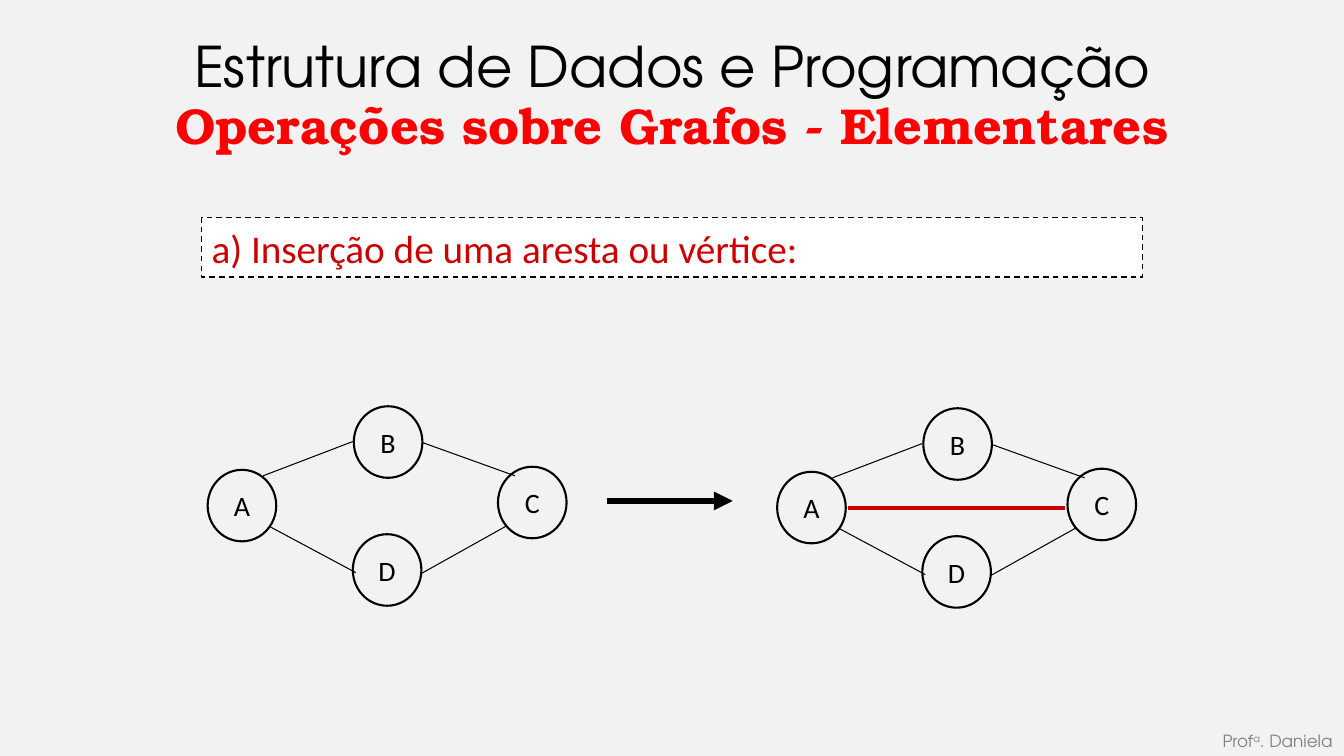
from dataclasses import dataclass

from lxml import etree
from pptx import Presentation
from pptx.dml.color import RGBColor
from pptx.enum.dml import MSO_LINE
from pptx.enum.shapes import MSO_CONNECTOR, MSO_SHAPE
from pptx.enum.text import MSO_ANCHOR, MSO_AUTO_SIZE, PP_ALIGN
from pptx.oxml.ns import qn
from pptx.util import Pt

STRAIGHT = MSO_CONNECTOR.STRAIGHT
RECTANGLE, OVAL = MSO_SHAPE.RECTANGLE, MSO_SHAPE.OVAL
LEFT, CENTER, RIGHT = PP_ALIGN.LEFT, PP_ALIGN.CENTER, PP_ALIGN.RIGHT
MIDDLE = MSO_ANCHOR.MIDDLE
NO_AUTOFIT = MSO_AUTO_SIZE.NONE
DASH = MSO_LINE.DASH


@dataclass(frozen=True)
class Theme:
    background: RGBColor = RGBColor(0xF2, 0xF2, 0xF2)
    white: RGBColor = RGBColor(0xFF, 0xFF, 0xFF)
    black: RGBColor = RGBColor(0, 0, 0)
    gray: RGBColor = RGBColor(0x80, 0x80, 0x80)
    red: RGBColor = RGBColor(0xFF, 0, 0)
    dark_red: RGBColor = RGBColor(0xCC, 0, 0)
    body_font: str = "Calibri"
    title_font: str = "TeX Gyre Adventor"
    subtitle_font: str = "TeX Gyre Bonum"
    title_size: int = 40
    subtitle_size: int = 36
    topic_size: int = 28
    node_size: int = 20
    credit_size: int = 12


THEME = Theme()

# Positions inside one graph, in points from its top left corner
NODE_WIDTH, NODE_HEIGHT = 49, 51.1
NODES = {"A": (0, 45.4), "B": (104.4, 0), "C": (207.4, 43.2), "D": (103.7, 91.4)}
EDGES = [
    (103.7, 25.2, 39.6, 49.7),
    (152.6, 119.5, 213.1, 85.7),
    (105.8, 118.8, 43.9, 85.7),
    (153.4, 25.9, 219.6, 49.7),
]
NEW_EDGE = (50.4, 71.3, 205.9, 71.3)


def place(shape, left, top, width, height):
    shape.left, shape.top = Pt(left), Pt(top)
    shape.width, shape.height = Pt(width), Pt(height)


def format_text(shape, font, size, color, alignment, bold=False):
    frame = shape.text_frame
    frame.word_wrap = True
    frame.auto_size = NO_AUTOFIT
    frame.vertical_anchor = MIDDLE
    for paragraph in frame.paragraphs:
        paragraph.alignment = alignment
        for run in paragraph.runs:
            run.font.name = font
            run.font.size = Pt(size)
            run.font.color.rgb = color
            run.font.bold = bold


def add_line(slide, start_x, start_y, end_x, end_y, color, weight):
    line = slide.shapes.add_connector(
        STRAIGHT, Pt(start_x), Pt(start_y), Pt(end_x), Pt(end_y))
    line.line.color.rgb = color
    line.line.width = Pt(weight)
    etree.SubElement(line._element.spPr, qn("a:effectLst"))
    return line


def add_outlined_shape(slide, kind, left, top, width, height, weight):
    shape = slide.shapes.add_shape(kind, Pt(left), Pt(top), Pt(width), Pt(height))
    shape.shadow.inherit = False
    shape.fill.background()
    shape.line.color.rgb = THEME.black
    shape.line.width = Pt(weight)
    return shape


def add_heading(slide, left, top, width, height):
    title = slide.shapes.title
    place(title, left + 29.5, top, width - 58.3, 90)
    title.text_frame.text = "Estrutura de Dados e Programação"
    format_text(title, THEME.title_font, THEME.title_size, THEME.black, CENTER)

    subtitle_height = 45.4
    subtitle = slide.shapes.add_textbox(
        Pt(left), Pt(top + height - subtitle_height), Pt(width), Pt(subtitle_height))
    subtitle.text_frame.text = "Operações sobre Grafos - Elementares"
    format_text(subtitle, THEME.subtitle_font, THEME.subtitle_size, THEME.red,
                CENTER, bold=True)


def add_topic(slide, left, top, width, height):
    topic = add_outlined_shape(slide, RECTANGLE, left, top, width, height, 1)
    topic.fill.solid()
    topic.fill.fore_color.rgb = THEME.white
    topic.line.dash_style = DASH
    topic.text_frame.text = "a) Inserção de uma aresta ou vértice:"
    format_text(topic, THEME.body_font, THEME.topic_size, THEME.dark_red, LEFT)


def add_graph(slide, left, top, with_new_edge=False):
    for name, (x, y) in NODES.items():
        node = add_outlined_shape(
            slide, OVAL, left + x, top + y, NODE_WIDTH, NODE_HEIGHT, 1.5)
        frame = node.text_frame
        frame.text = name
        frame.margin_left = frame.margin_right = 0
        frame.margin_top = frame.margin_bottom = 0
        format_text(node, THEME.body_font, THEME.node_size, THEME.black, CENTER)

    lines = [(edge, THEME.black, 0.75) for edge in EDGES]
    if with_new_edge:
        lines.append((NEW_EDGE, THEME.dark_red, 2.25))
    for (start_x, start_y, end_x, end_y), color, weight in lines:
        add_line(slide, left + start_x, top + start_y, left + end_x, top + end_y,
                 color, weight)


def add_arrow(slide, left, top, length):
    arrow = add_line(slide, left, top, left + length, top, THEME.black, 4.5)
    etree.SubElement(arrow.line._get_or_add_ln(), qn("a:tailEnd"), type="triangle")


def add_credit(slide, left, top, width, height):
    credit = slide.shapes.add_textbox(Pt(left), Pt(top), Pt(width), Pt(height))
    paragraph = credit.text_frame.paragraphs[0]
    for text in ("Prof", "a", ". Daniela"):
        paragraph.add_run().text = text
    format_text(credit, THEME.title_font, THEME.credit_size, THEME.gray, RIGHT)
    superscript = paragraph.runs[1]
    superscript.font._element.set("baseline", "30000")


def build_graph_slide(presentation):
    slide = presentation.slides.add_slide(presentation.slide_layouts[5])
    slide.background.fill.solid()
    slide.background.fill.fore_color.rgb = THEME.background
    add_heading(slide, 18.7, 1.4, 922.3, 110.2)
    add_topic(slide, 144, 155.5, 672, 42.5)
    add_graph(slide, 148.3, 290.2)
    add_arrow(slide, 433.4, 357.8, 90)
    add_graph(slide, 555.1, 291.6, with_new_edge=True)
    add_credit(slide, 702, 518.4, 257, 21.6)


def main():
    presentation = Presentation()
    presentation.slide_width, presentation.slide_height = Pt(960), Pt(540)
    build_graph_slide(presentation)
    presentation.save("out.pptx")


if __name__ == "__main__":
    main()
